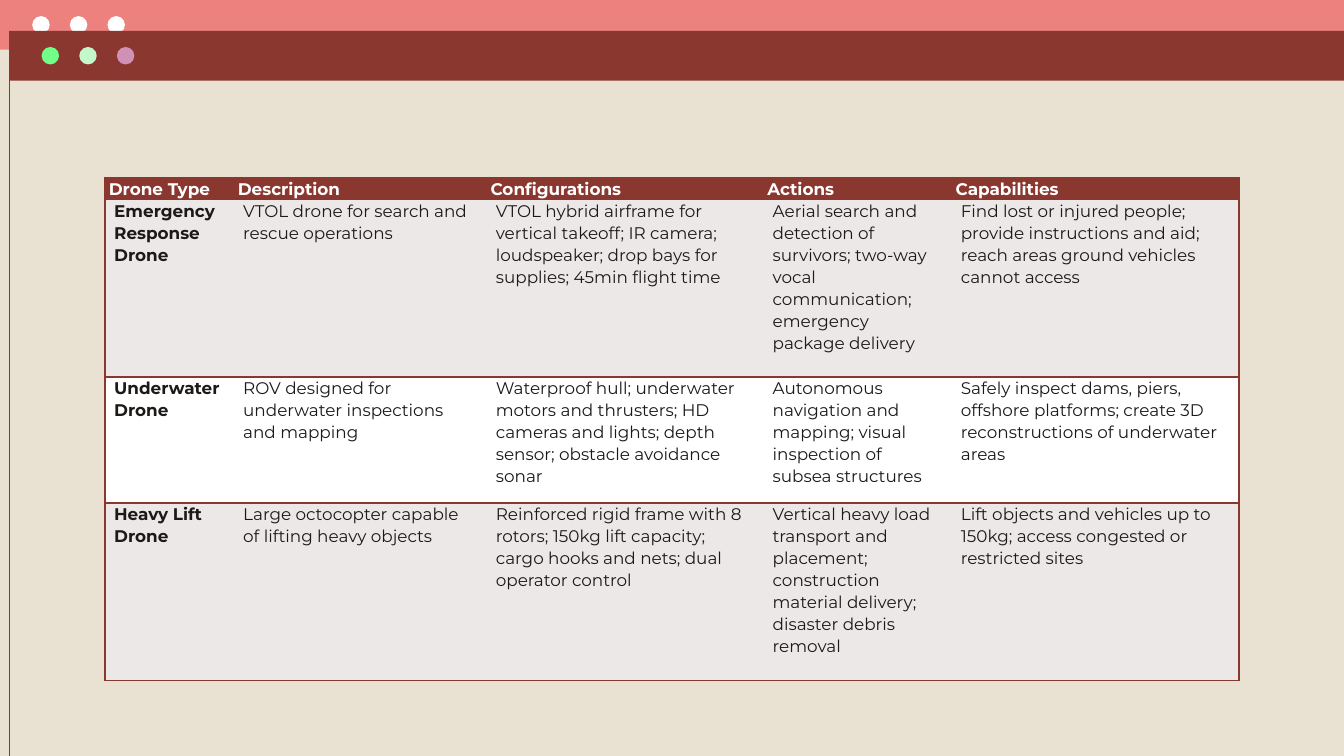
import pptx
import pptx.dml.color
import pptx.enum.shapes
import pptx.oxml
import pptx.oxml.ns
import pptx.util
from pptx.util import Inches

RGBColor = pptx.dml.color.RGBColor
SHAPES = pptx.enum.shapes.MSO_SHAPE

BEIGE = RGBColor(0xE9, 0xE2, 0xD3)
CORAL = RGBColor(0xEC, 0x81, 0x7E)
MAROON = RGBColor(0x8A, 0x37, 0x30)
WHITE = RGBColor(0xFF, 0xFF, 0xFF)
GREEN = RGBColor(0x72, 0xFF, 0x89)
MINT = RGBColor(0xC4, 0xF8, 0xCC)
MAUVE = RGBColor(0xD1, 0x90, 0xB5)
PALE = RGBColor(0xED, 0xE8, 0xE8)
INK = RGBColor(0x1C, 0x19, 0x17)

SLIDE_WIDTH = 10
SLIDE_HEIGHT = SLIDE_WIDTH * 9 / 16
BAR_HEIGHT = 0.37
DOT_SIZE = 0.13
DOT_STEP = 0.28

COLUMN_WIDTHS = [0.96, 1.88, 2.06, 1.4, 2.14]
ROW_HEIGHTS = [0.13, 1.32, 0.94, 1.32]
DRONE_ROWS = [
    ["Drone Type", "Description", "Configurations", "Actions", "Capabilities"],
    [
        "Emergency Response Drone",
        "VTOL drone for search and rescue operations",
        "VTOL hybrid airframe for vertical takeoff; IR camera; loudspeaker; "
        "drop bays for supplies; 45min flight time",
        "Aerial search and detection of survivors; two-way vocal communication; "
        "emergency package delivery",
        "Find lost or injured people; provide instructions and aid; "
        "reach areas ground vehicles cannot access",
    ],
    [
        "Underwater Drone",
        "ROV designed for underwater inspections and mapping",
        "Waterproof hull; underwater motors and thrusters; HD cameras and lights; "
        "depth sensor; obstacle avoidance sonar",
        "Autonomous navigation and mapping; visual inspection of subsea structures",
        "Safely inspect dams, piers, offshore platforms; "
        "create 3D reconstructions of underwater areas",
    ],
    [
        "Heavy Lift Drone",
        "Large octocopter capable of lifting heavy objects",
        "Reinforced rigid frame with 8 rotors; 150kg lift capacity; "
        "cargo hooks and nets; dual operator control",
        "Vertical heavy load transport and placement; "
        "construction material delivery; disaster debris removal",
        "Lift objects and vehicles up to 150kg; access congested or restricted sites",
    ],
]


def add_filled_shape(slide, kind, left, top, width, height, color):
    shape = slide.shapes.add_shape(
        kind, Inches(left), Inches(top), Inches(width), Inches(height)
    )
    shape.shadow.inherit = False
    shape.fill.solid()
    shape.fill.fore_color.rgb = color
    shape.line.fill.background()


def add_window_bar(slide, left, top, color, dot_left, dot_colors):
    add_filled_shape(
        slide, SHAPES.RECTANGLE, left, top, SLIDE_WIDTH - left, BAR_HEIGHT, color
    )
    for index, dot_color in enumerate(dot_colors):
        add_filled_shape(
            slide, SHAPES.OVAL, dot_left + index * DOT_STEP, top + 0.12,
            DOT_SIZE, DOT_SIZE, dot_color,
        )


def add_window_edge(slide, left, top):
    edge = slide.shapes.add_connector(
        pptx.enum.shapes.MSO_CONNECTOR.STRAIGHT,
        Inches(left), Inches(top), Inches(left), Inches(SLIDE_HEIGHT),
    )
    edge.line.color.rgb = MAROON
    edge.line.width = pptx.util.Pt(0.75)
    properties = edge.element.spPr
    properties.append(properties.makeelement(pptx.oxml.ns.qn("a:effectLst"), {}))


def set_borders(cell, visible_sides):
    properties = cell._tc.get_or_add_tcPr()
    namespace = pptx.oxml.ns.nsdecls("a")
    for side in "LRTB":
        paint = "<a:noFill/>"
        if side in visible_sides:
            paint = f'<a:solidFill><a:srgbClr val="{MAROON}"/></a:solidFill>'
        properties.append(pptx.oxml.parse_xml(
            f'<a:ln{side} {namespace} w="{pptx.util.Pt(1)}">{paint}</a:ln{side}>'
        ))


def format_cell(cell, text, fill_color, font_color, bold, margin):
    cell.fill.solid()
    cell.fill.fore_color.rgb = fill_color
    cell.margin_left = cell.margin_right = Inches(margin)
    cell.margin_top = cell.margin_bottom = 0
    cell.text_frame.text = text
    para = cell.text_frame.paragraphs[0]
    para.line_spacing = 1.07
    font = para.runs[0].font
    font.name = "Montserrat"
    font.size = pptx.util.Pt(9)
    font.bold = bold
    font.color.rgb = font_color


def add_drone_table(slide, left, top):
    table = slide.shapes.add_table(
        len(ROW_HEIGHTS), len(COLUMN_WIDTHS), Inches(left), Inches(top),
        Inches(sum(COLUMN_WIDTHS)), Inches(sum(ROW_HEIGHTS)),
    ).table
    for column, width in zip(table.columns, COLUMN_WIDTHS):
        column.width = Inches(width)
    for row, height in zip(table.rows, ROW_HEIGHTS):
        row.height = Inches(height)
    last_column = len(COLUMN_WIDTHS) - 1
    for row_index, texts in enumerate(DRONE_ROWS):
        header = row_index == 0
        body_color = PALE if row_index % 2 else WHITE
        for column_index, text in enumerate(texts):
            cell = table.cell(row_index, column_index)
            set_borders(cell, {0: "LTB", last_column: "RTB"}.get(column_index, "TB"))
            format_cell(
                cell, text,
                fill_color=MAROON if header else body_color,
                font_color=WHITE if header else INK,
                bold=header or column_index == 0,
                margin=0.03 if header else 0.07,
            )


def main():
    deck = pptx.Presentation()
    deck.slide_width = Inches(SLIDE_WIDTH)
    deck.slide_height = Inches(SLIDE_HEIGHT)
    slide = deck.slides.add_slide(deck.slide_layouts[6])
    slide.background.fill.solid()
    slide.background.fill.fore_color.rgb = BEIGE

    add_window_bar(slide, 0, 0, CORAL, 0.24, [WHITE] * 3)
    add_window_bar(slide, 0.07, 0.23, MAROON, 0.31, [GREEN, MINT, MAUVE])
    add_window_edge(slide, 0.07, 0.23)
    add_drone_table(slide, 0.78, 1.32)
    deck.save("out.pptx")


if __name__ == "__main__":
    main()
